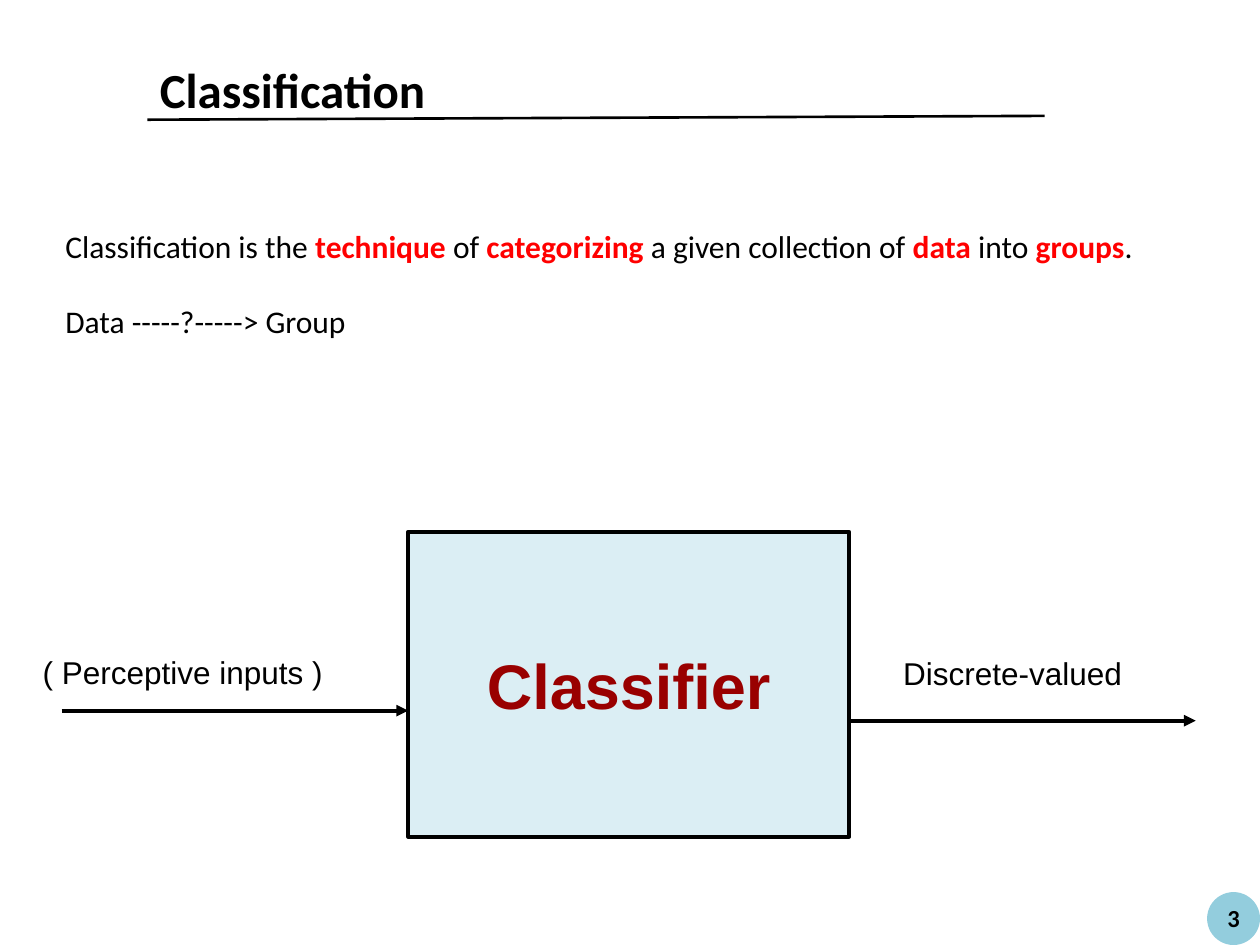
from dataclasses import dataclass

import pptx
import pptx.dml.color
import pptx.enum.shapes
import pptx.enum.text
import pptx.oxml.ns
import pptx.util
from lxml import etree

Inches = pptx.util.Inches
Pt = pptx.util.Pt
RGBColor = pptx.dml.color.RGBColor
PP_ALIGN = pptx.enum.text.PP_ALIGN
MSO_SHAPE = pptx.enum.shapes.MSO_SHAPE

BLACK = RGBColor(0x00, 0x00, 0x00)
RED = RGBColor(0xFF, 0x00, 0x00)
DARK_RED = RGBColor(0x99, 0x00, 0x00)
PALE_BLUE = RGBColor(0xDB, 0xEE, 0xF4)
BADGE_BLUE = RGBColor(0x93, 0xCD, 0xDD)


@dataclass(frozen=True)
class Box:
    left: float
    top: float
    width: float
    height: float


@dataclass(frozen=True)
class Label:
    text: str
    box: Box
    size: float
    font: str = "Calibri"
    bold: bool = False
    align: PP_ALIGN = PP_ALIGN.LEFT
    wrap: bool = True


@dataclass(frozen=True)
class Line:
    start: tuple[float, float]
    end: tuple[float, float]
    width: float
    arrow: bool = False


BADGE = Box(9.58, 7.08, 0.42, 0.42)
CLASSIFIER = Box(3.24, 4.22, 3.5, 2.42)
CLASSIFIER_RIGHT = CLASSIFIER.left + CLASSIFIER.width
ARROW_LENGTH = 2.75
DEFINITION = Box(0.42, 1.75, 9.42, 1.01)

LABELS = [
    Label("Classification", Box(1.17, 0.42, 2.34, 0.57), 28, bold=True, wrap=False),
    Label("3", Box(9.58, 7.12, 0.42, 0.34), 14, bold=True, align=PP_ALIGN.CENTER),
    Label("Discrete-valued", Box(7.07, 5.14, 2.83, 0.86), 18, "Arial"),
    Label("( Perceptive inputs )", Box(0.24, 5.13, 2.83, 0.4), 18, "Arial"),
]

LINES = [
    Line((1.17, 0.95), (8.29, 0.92), 1.5),
    Line((CLASSIFIER.left - ARROW_LENGTH, 5.64), (CLASSIFIER.left, 5.64), 2.25, True),
    Line((CLASSIFIER_RIGHT, 5.72), (CLASSIFIER_RIGHT + ARROW_LENGTH, 5.72), 2.25, True),
]

DEFINITION_RUNS = [
    ("Classification is the ", False),
    ("technique", True),
    (" of ", False),
    ("categorizing", True),
    (" a given collection of ", False),
    ("data", True),
    (" into ", False),
    ("groups", True),
    (".", False),
]


def inches(box: Box) -> list[int]:
    return [Inches(value) for value in (box.left, box.top, box.width, box.height)]


def style_font(font, size: float, name: str, color: RGBColor, bold: bool) -> None:
    font.size = Pt(size)
    font.name = name
    font.bold = bold
    font.color.rgb = color


def add_label(slide, label: Label) -> None:
    text_frame = slide.shapes.add_textbox(*inches(label.box)).text_frame
    text_frame.word_wrap = label.wrap
    text_frame.text = label.text
    paragraph = text_frame.paragraphs[0]
    paragraph.alignment = label.align
    style_font(paragraph.runs[0].font, label.size, label.font, BLACK, label.bold)


def add_filled_shape(slide, kind: MSO_SHAPE, box: Box, fill: RGBColor):
    shape = slide.shapes.add_shape(kind, *inches(box))
    shape.shadow.inherit = False
    shape.fill.solid()
    shape.fill.fore_color.rgb = fill
    shape.line.fill.background()
    return shape


def add_line(slide, line: Line) -> None:
    connector = slide.shapes.add_connector(
        pptx.enum.shapes.MSO_CONNECTOR.STRAIGHT,
        *(Inches(value) for value in line.start + line.end),
    )
    connector.line.color.rgb = BLACK
    connector.line.width = Pt(line.width)
    properties = connector._element.spPr
    if line.arrow:
        outline = properties.find(pptx.oxml.ns.qn("a:ln"))
        etree.SubElement(outline, pptx.oxml.ns.qn("a:tailEnd"), type="triangle")
    etree.SubElement(properties, pptx.oxml.ns.qn("a:effectLst"))


def add_classifier(slide) -> None:
    shape = add_filled_shape(slide, MSO_SHAPE.RECTANGLE, CLASSIFIER, PALE_BLUE)
    shape.line.color.rgb = BLACK
    shape.line.width = Pt(2.25)
    text_frame = shape.text_frame
    text_frame.word_wrap = False
    text_frame.vertical_anchor = pptx.enum.text.MSO_ANCHOR.MIDDLE
    text_frame.text = "Classifier"
    paragraph = text_frame.paragraphs[0]
    paragraph.alignment = PP_ALIGN.CENTER
    style_font(paragraph.runs[0].font, 36, "Arial", DARK_RED, True)


def add_definition(slide) -> None:
    text_frame = slide.shapes.add_textbox(*inches(DEFINITION)).text_frame
    text_frame.word_wrap = True
    paragraph = text_frame.paragraphs[0]
    for text, emphasized in DEFINITION_RUNS:
        run = paragraph.add_run()
        run.text = text
        style_font(run.font, 18, "Calibri", RED if emphasized else BLACK, emphasized)
    mapping = text_frame.add_paragraph()
    mapping.text = "Data -----?-----> Group"
    mapping.space_before = Pt(21.5)
    style_font(mapping.runs[0].font, 18, "Calibri", BLACK, False)


def main() -> None:
    presentation = pptx.Presentation()
    presentation.slide_width = Inches(10)
    presentation.slide_height = Inches(7.5)
    slide = presentation.slides.add_slide(presentation.slide_layouts[6])
    add_filled_shape(slide, MSO_SHAPE.OVAL, BADGE, BADGE_BLUE)
    add_classifier(slide)
    for line in LINES:
        add_line(slide, line)
    for label in LABELS:
        add_label(slide, label)
    add_definition(slide)
    presentation.save("out.pptx")


if __name__ == "__main__":
    main()
